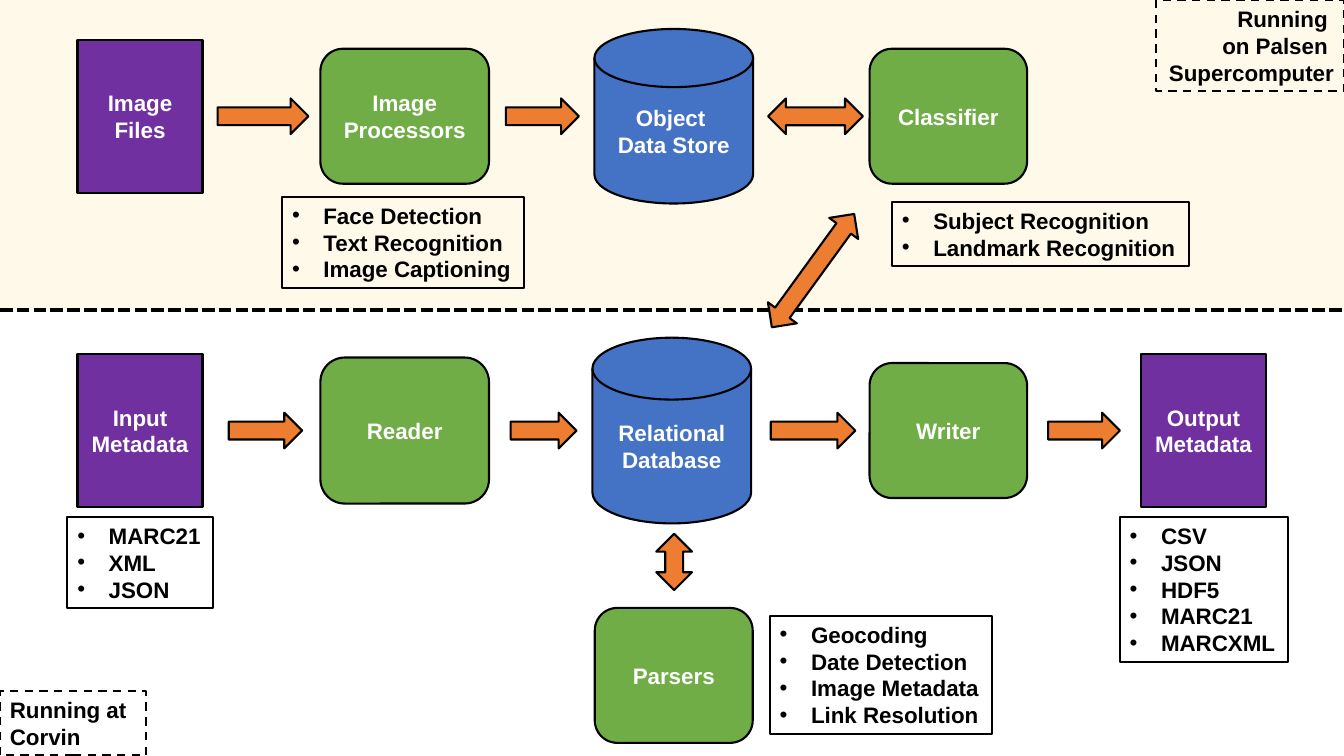
from pptx import Presentation
from pptx.dml.color import RGBColor
from pptx.enum import dml, shapes, text
from pptx.oxml import ns, xmlchemy
from pptx.util import Cm, Pt

# Content, lengths in cm
WIDTH, HEIGHT, BORDER = 33.87, 19.05, 7.82
TOP, BOTTOM = 2.93, 10.85  # centre lines of the two flows
BLACK, WHITE, ORANGE = "000000", "FFFFFF", "ED7D31"
FORM = shapes.MSO_SHAPE
KINDS = {
    "file": (FORM.RECTANGLE, "7030A0"),
    "process": (FORM.ROUNDED_RECTANGLE, "70AD47"),
    "store": (FORM.FLOWCHART_MAGNETIC_DISK, "4472C4"),
}
# kind, label, centre x, centre y, width, height
NODES = [
    ("file", "Image Files", 3.53, TOP, 3.15, 3.86),
    ("process", "Image Processors", 10.2, TOP, 4.25, 3.4),
    ("store", "Object \nData Store", 16.98, TOP, 4, 4.4),
    ("process", "Classifier", 23.9, TOP, 3.97, 3.4),
    ("file", "Input Metadata", 3.53, BOTTOM, 3.15, 3.86),
    ("process", "Reader", 10.2, BOTTOM, 4.25, 3.68),
    ("store", "Relational\nDatabase", 16.93, BOTTOM, 4, 4.68),
    ("process", "Writer", 23.9, BOTTOM, 3.97, 3.4),
    ("file", "Output Metadata", 30.33, BOTTOM, 3.15, 3.86),
    ("process", "Parsers", 16.98, 17.02, 3.98, 3.4),
]
ONE_WAY, TWO_WAY = FORM.RIGHT_ARROW, FORM.LEFT_RIGHT_ARROW
# form, centre x, centre y, length, rotation
ARROWS = [
    (ONE_WAY, 6.63, TOP, 2.29, 0),
    (ONE_WAY, 13.67, TOP, 1.84, 0),
    (TWO_WAY, 20.55, TOP, 2.39, 180),
    (ONE_WAY, 6.69, BOTTOM, 1.85, 0),
    (ONE_WAY, 13.7, BOTTOM, 1.66, 0),
    (ONE_WAY, 20.49, BOTTOM, 2.13, 0),
    (ONE_WAY, 27.32, BOTTOM, 1.81, 0),
    (TWO_WAY, 16.99, 14.16, 1.42, 270),
    (TWO_WAY, 20.49, 6.82, 3.53, 306),
]
# lines, left, top, width
LISTS = [
    (["Face Detection", "Text Recognition", "Image Captioning"], 7.11, 4.96, 6.1),
    (["Subject Recognition", "Landmark Recognition"], 22.48, 5.09, 7.49),
    (["MARC21", "XML", "JSON"], 1.7, 13.03, 3.66),
    (["CSV", "JSON", "HDF5", "MARC21", "MARCXML"], 28.22, 13.03, 4.23),
    (["Geocoding", "Date Detection", "Image Metadata", "Link Resolution"],
     19.4, 15.52, 5.6),
]
# label, left, top, width, alignment
SITES = [
    ("Running \non Palsen \nSupercomputer", 29.14, 0, 4.73, text.PP_ALIGN.RIGHT),
    ("Running at \nCorvin", 0, 17.42, 3.68, text.PP_ALIGN.LEFT),
]
FONT = {"name": "Arial", "size": Pt(16), "bold": True}


def rgb(value):
    return RGBColor.from_string(value)


def add_box(form, left, top, width, height, fill=None, line=BLACK):
    box = page.shapes.add_shape(form, Cm(left), Cm(top), Cm(width), Cm(height))
    box.shadow.inherit = False
    if fill:
        box.fill.solid()
        box.fill.fore_color.rgb = rgb(fill)
    else:
        box.fill.background()
    if line:
        box.line.color.rgb = rgb(line)
        box.line.width = Pt(1.5)
    else:
        box.line.fill.background()
    return box


def add_centred(form, x, y, width, height, fill):
    return add_box(form, x - width / 2, y - height / 2, width, height, fill)


def write(para, label, color, align):
    para.alignment = align
    for number, line in enumerate(label.split("\n")):
        if number:
            para.add_line_break()
        span = para.add_run()
        span.text = line
        for name, value in FONT.items():
            setattr(span.font, name, value)
        span.font.color.rgb = rgb(color)


def add_note(left, top, width, line_count):
    box = add_box(FORM.RECTANGLE, left, top, width, 0.26 + 0.68 * line_count)
    frame = box.text_frame
    frame.word_wrap = False
    frame.auto_size = text.MSO_AUTO_SIZE.SHAPE_TO_FIT_TEXT
    frame.vertical_anchor = text.MSO_ANCHOR.TOP
    return box


def add_bullet(para):
    props = para._p.get_or_add_pPr()
    props.set("marL", str(Cm(0.79)))
    props.set("indent", str(-Cm(0.79)))
    font = xmlchemy.OxmlElement("a:buFont")
    font.set("typeface", "Arial")
    bullet = xmlchemy.OxmlElement("a:buChar")
    bullet.set("char", "•")
    props.extend([font, bullet])


deck = Presentation()
deck.slide_width, deck.slide_height = Cm(WIDTH), Cm(HEIGHT)
page = deck.slides.add_slide(deck.slide_layouts[6])

# Tinted upper zone and its dashed border
zone = add_box(FORM.RECTANGLE, 0, 0, WIDTH, BORDER, "FFF2CC", None)
alpha = xmlchemy.OxmlElement("a:alpha")
alpha.set("val", "40000")
zone._element.spPr.find(".//" + ns.qn("a:srgbClr")).append(alpha)

border = page.shapes.add_connector(
    shapes.MSO_CONNECTOR.STRAIGHT, 0, Cm(BORDER), Cm(WIDTH), Cm(BORDER))
border.line.color.rgb = rgb(BLACK)
border.line.width = Pt(3)
border.line.dash_style = dml.MSO_LINE.SQUARE_DOT
border._element.spPr.append(xmlchemy.OxmlElement("a:effectLst"))

# Flow nodes
for kind, label, x, y, width, height in NODES:
    form, fill = KINDS[kind]
    frame = add_centred(form, x, y, width, height, fill).text_frame
    frame.word_wrap = True
    frame.vertical_anchor = text.MSO_ANCHOR.MIDDLE
    write(frame.paragraphs[0], label, WHITE, text.PP_ALIGN.CENTER)

# Arrows
for form, x, y, length, rotation in ARROWS:
    add_centred(form, x, y, length, 0.9, ORANGE).rotation = rotation

# Bulleted lists
for lines, left, top, width in LISTS:
    frame = add_note(left, top, width, len(lines)).text_frame
    for number, line in enumerate(lines):
        para = frame.add_paragraph() if number else frame.paragraphs[0]
        write(para, line, BLACK, text.PP_ALIGN.LEFT)
        add_bullet(para)

# Site labels in the corners
for label, left, top, width, align in SITES:
    box = add_note(left, top, width, len(label.split("\n")))
    box.line.dash_style = dml.MSO_LINE.DASH
    write(box.text_frame.paragraphs[0], label, BLACK, align)

deck.save("out.pptx")
